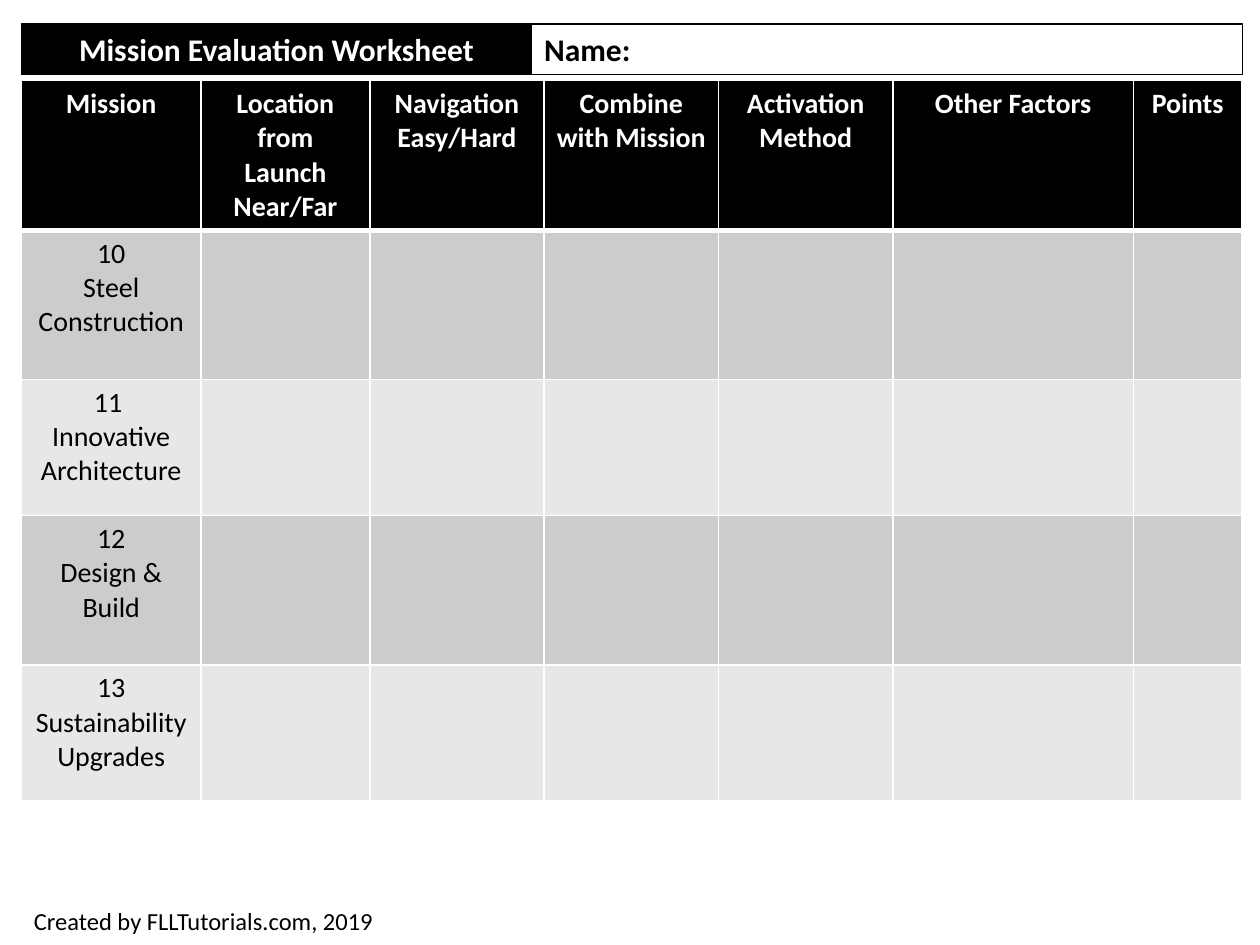
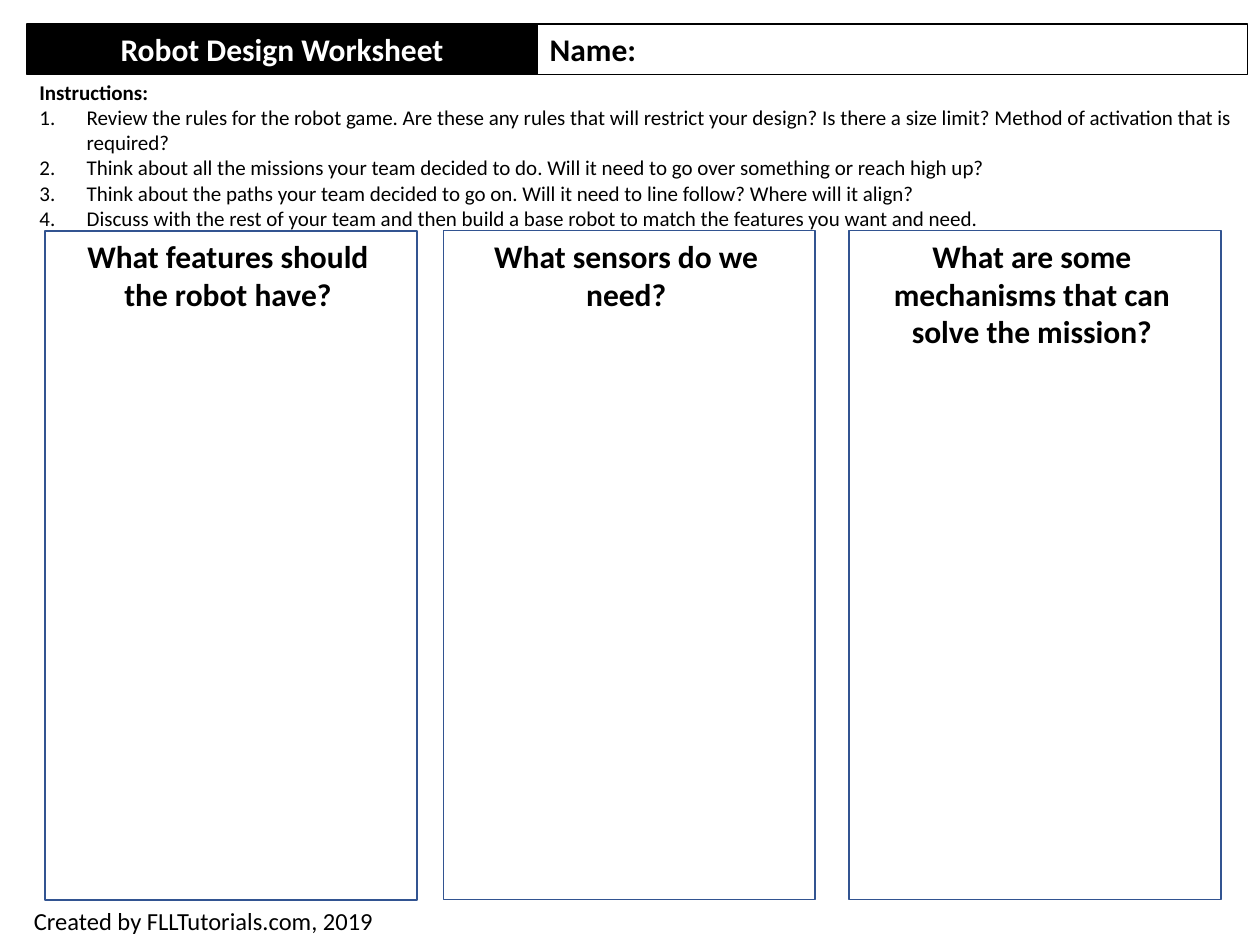
import pptx
import pptx.util
from lxml import etree
from pptx.dml.color import RGBColor
from pptx.enum.shapes import MSO_SHAPE
from pptx.enum.text import MSO_ANCHOR, MSO_AUTO_SIZE, PP_ALIGN
from pptx.oxml.ns import qn

COLORS = {"black": "000000", "white": "FFFFFF", "blue": "325491",
          "dark row": "CCCCCC", "light row": "E7E7E7"}
FONT = "Calibri"
COLUMNS, ROWS = 100, 75  # the slide grid: square cells of a tenth of an inch
CELL = pptx.util.Inches(0.1)
TITLE_WIDTH, NAME_WIDTH = 40.5, 56.4
MARGIN = 1.7

MISSION_COLUMNS = [
    ("Mission", 14.25), ("Location from Launch\nNear/Far", 13.4),
    ("Navigation Easy/Hard", 13.84), ("Combine with Mission", 13.84),
    ("Activation Method", 13.84), ("Other Factors", 19.1), ("Points", 8.6)]
MISSIONS = [
    ("10\nSteel Construction", 11.85), ("11 \nInnovative Architecture", 10.8),
    ("12\nDesign & Build", 11.85), ("13\nSustainability Upgrades", 10.8)]
INSTRUCTIONS = [
    "Review the rules for the robot game. Are these any rules that will restrict your design? "
    "Is there a size limit? Method of activation that is required?",
    "Think about all the missions your team decided to do. "
    "Will it need to go over something or reach high up?",
    "Think about the paths your team decided to go on. "
    "Will it need to line follow? Where will it align?",
    "Discuss with the rest of your team and then build a base robot "
    "to match the features you want and need."]
# Question, left column, top row, heading height
QUESTIONS = [
    ("What features should the robot have?", 3.6, 18.35, 7.1),
    ("What sensors do we need?", 35.2, 18.3, 7.1),
    ("What are some mechanisms that can solve the mission?", 67.4, 18.3, 10.1)]


def color(name):
    return RGBColor.from_string(COLORS[name])


def grid(*cells):
    return [round(count * CELL) for count in cells]


def style_paragraph(paragraph, size, ink="black", bold=False, align=PP_ALIGN.LEFT):
    paragraph.alignment = align
    font = paragraph.font
    font.name, font.size, font.bold = FONT, pptx.util.Pt(size), bold
    font.color.rgb = color(ink)


def write(shape, lines, *style, **options):
    frame = shape.text_frame
    frame.text = "\n".join(lines)
    frame.word_wrap = True
    frame.auto_size = MSO_AUTO_SIZE.NONE
    for paragraph in frame.paragraphs:
        style_paragraph(paragraph, *style, **options)


def paint(shape, fill, line, width):
    shape.fill.solid()
    shape.fill.fore_color.rgb = color(fill)
    shape.line.color.rgb = color(line)
    shape.line.width = pptx.util.Pt(width)


def add_box(slide, place, line, width):
    box = slide.shapes.add_shape(MSO_SHAPE.RECTANGLE, *grid(*place))
    box.shadow.inherit = False
    paint(box, "white", line, width)
    return box


def add_text(slide, place, lines, *style, **options):
    box = slide.shapes.add_textbox(*grid(*place))
    write(box, lines, *style, **options)
    return box


def add_worksheet(presentation, title_text, left):
    """Add a slide with the title band, the name field and the footer."""
    slide = presentation.slides.add_slide(presentation.slide_layouts[5])
    title = slide.shapes.title
    title.left, title.top, title.width, title.height = grid(left, 1.9, TITLE_WIDTH, 4)
    paint(title, "black", "black", 0.75)
    write(title, [title_text], 18, "white", bold=True, align=PP_ALIGN.CENTER)
    title.text_frame.vertical_anchor = MSO_ANCHOR.MIDDLE
    name_field = add_box(slide, (left + TITLE_WIDTH, 1.9, NAME_WIDTH, 4), "black", 0.75)
    write(name_field, ["Name:"], 18, bold=True)
    add_text(slide, (MARGIN, 71.4, 49.1, 3.4), ["Created by FLLTutorials.com, 2019"], 14)
    return slide


def set_border(cell, side, width):
    line = etree.SubElement(cell._tc.get_or_add_tcPr(), qn(f"a:ln{side}"),
                            w=str(pptx.util.Pt(width)))
    fill = etree.SubElement(line, qn("a:solidFill"))
    etree.SubElement(fill, qn("a:srgbClr"), val=COLORS["white"])


def fill_cell(cell, text, fill, ink, bold, top, bottom):
    for side, width in (("L", 1), ("R", 1), ("T", top), ("B", bottom)):
        set_border(cell, side, width)
    cell.fill.solid()
    cell.fill.fore_color.rgb = color(fill)
    cell.text = text
    for paragraph in cell.text_frame.paragraphs:
        style_paragraph(paragraph, 16, ink, bold, PP_ALIGN.CENTER)


def add_mission_table(slide):
    frame = slide.shapes.add_table(len(MISSIONS) + 1, len(MISSION_COLUMNS),
                                   *grid(MARGIN, 6.4, 96.9, 52.5))
    table = frame.table
    table.rows[0].height = grid(7.1)[0]
    for index, (heading, width) in enumerate(MISSION_COLUMNS):
        table.columns[index].width = grid(width)[0]
        fill_cell(table.cell(0, index), heading, "black", "white", True, 1, 3)
    for row, (mission, height) in enumerate(MISSIONS, start=1):
        table.rows[row].height = grid(height)[0]
        fill = "dark row" if row % 2 else "light row"
        for index in range(len(MISSION_COLUMNS)):
            fill_cell(table.cell(row, index), "" if index else mission,
                      fill, "black", False, 3 if row == 1 else 1, 1)


def number_paragraph(paragraph):
    properties = paragraph._p.get_or_add_pPr()
    indent = grid(3.75)[0]
    properties.set("marL", str(indent))
    properties.set("indent", str(-indent))
    etree.SubElement(properties, qn("a:buFont"), typeface="+mj-lt")
    etree.SubElement(properties, qn("a:buAutoNum"), type="arabicPeriod")


def add_instructions(slide, left):
    box = add_text(slide, (left, 5.8, 96.9, 13.1), ["Instructions:"], 12, bold=True)
    for instruction in INSTRUCTIONS:
        step = box.text_frame.add_paragraph()
        step.text = instruction
        number_paragraph(step)
        style_paragraph(step, 12)


def add_question(slide, question, left, top, heading_height):
    add_box(slide, (left, top, 29.5, 53.1), "blue", 1)
    add_text(slide, (left + 2, top, 25, heading_height), [question], 18,
             bold=True, align=PP_ALIGN.CENTER)


def main():
    presentation = pptx.Presentation()
    presentation.slide_width, presentation.slide_height = grid(COLUMNS, ROWS)

    # Mission evaluation
    evaluation = add_worksheet(presentation, "Mission Evaluation Worksheet", MARGIN)
    add_mission_table(evaluation)

    # Robot design
    design_left = 2.14
    design = add_worksheet(presentation, "Robot Design Worksheet", design_left)
    add_instructions(design, design_left)
    for question in QUESTIONS:
        add_question(design, *question)

    presentation.save("out.pptx")


if __name__ == "__main__":
    main()
